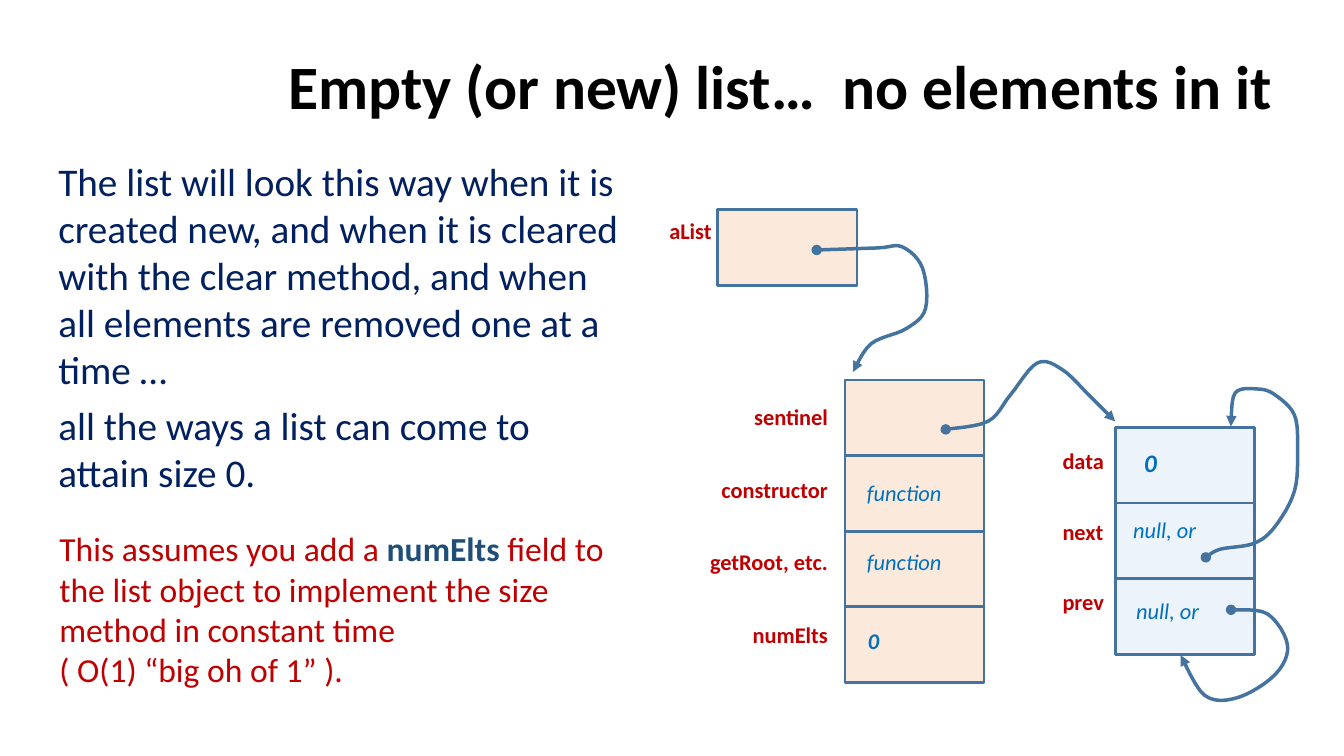
import dataclasses

import pptx
import pptx.dml.color
import pptx.enum.shapes
import pptx.enum.text
import pptx.oxml.ns
import pptx.util
from lxml import etree
from pptx.util import Inches

COLORS = {
    "title": "000000", "body": "002060", "label": "C00000", "value": "0070C0",
    "field": "1F4E79", "line": "43739E", "list": "F4B183", "node": "BDD7EE",
}
LEFT = pptx.enum.text.PP_ALIGN.LEFT
RIGHT = pptx.enum.text.PP_ALIGN.RIGHT
CELL_WIDTH, CELL_HEIGHT = 1.38, 0.75
TEXT_HEIGHT = 0.54
CURVE_STEPS = 6


@dataclasses.dataclass
class Value:
    """Text in a cell; left and top are measured from the corner of the cell."""
    text: str
    left: float
    top: float
    size: int = 16
    bold: bool = False


@dataclasses.dataclass
class Record:
    """A stack of cells, with one (name, value) pair for each cell."""
    left: float
    top: float
    color: str
    fields: list
    label_left: float
    label_top: float
    label_width: float
    label_step: float = 0
    label_align: int = LEFT


RECORDS = [
    Record(7.12, 2.08, "list", [("aList", None)],
           label_left=6.54, label_top=2.11, label_width=0.67),
    Record(8.38, 3.77, "list",
           [("sentinel", None),
            ("constructor", Value("function", 0.12, 0.18)),
            ("getRoot, etc.", Value("function", 0.12, 0.12)),
            ("numElts", Value("0", 0.13, 0.15, bold=True))],
           label_left=6.78, label_top=3.95, label_width=1.53, label_step=0.72,
           label_align=RIGHT),
    Record(11.06, 4.24, "node",
           [("data", Value("0", 0.19, 0.15, size=18, bold=True)),
            ("next", Value("null, or", 0.08, 0.08)),
            ("prev", Value("null, or", 0.11, 0.13))],
           label_left=10.44, label_top=4.39, label_width=1.24, label_step=0.7),
]

# Bends of each pointer, from its dot to its arrowhead; a spline joins them
POINTERS = {
    "aList to list": [(8.1, 2.48), (8.7, 2.46), (8.95, 2.45), (9.15, 2.66),
                      (9.18, 3.06), (8.99, 3.26), (8.64, 3.41), (8.46, 3.69)],
    "sentinel to node": [(9.38, 4.26), (9.8, 4.18), (10.02, 3.92), (10.29, 3.6),
                         (10.54, 3.67), (10.81, 3.93), (11.06, 4.18)],
    "next to node": [(11.96, 5.53), (12.1, 5.45), (12.44, 5.39), (12.65, 5.22),
                     (12.84, 4.87), (12.87, 4.46), (12.84, 4.12), (12.65, 3.92),
                     (12.48, 3.86), (12.25, 3.9), (12.21, 4.23)],
    "prev to node": [(12.21, 6.05), (12.57, 6.09), (12.77, 6.4), (12.65, 6.69),
                     (12.28, 6.92), (11.95, 6.9), (11.71, 6.5)],
}


def rgb(name):
    return pptx.dml.color.RGBColor.from_string(COLORS[name])


def add_element(parent, tag, **attributes):
    return etree.SubElement(parent, pptx.oxml.ns.qn(tag), **attributes)


def add_text(slide, paragraphs, left, top, width, height=TEXT_HEIGHT, *, size=16,
             color="label", bold=False, italic=False, align=LEFT, space_after=0):
    """Each paragraph is a list of (text, color, bold) runs or a plain string."""
    box = slide.shapes.add_textbox(*map(Inches, (left, top, width, height)))
    frame = box.text_frame
    frame.word_wrap = True
    for index, content in enumerate(paragraphs):
        paragraph = frame.add_paragraph() if index else frame.paragraphs[0]
        paragraph.alignment = align
        paragraph.space_after = pptx.util.Pt(space_after)
        runs = [(content, color, bold)] if isinstance(content, str) else content
        for text, run_color, run_bold in runs:
            run = paragraph.add_run()
            run.text = text
            run.font.name = "Calibri"
            run.font.size = pptx.util.Pt(size)
            run.font.bold = run_bold
            run.font.italic = italic
            run.font.color.rgb = rgb(run_color)


def style_line(shape, width):
    shape.shadow.inherit = False
    shape.line.color.rgb = rgb("line")
    shape.line.width = pptx.util.Pt(width)


def add_cell(slide, left, top, color):
    shape = slide.shapes.add_shape(
        pptx.enum.shapes.MSO_SHAPE.RECTANGLE,
        *map(Inches, (left, top, CELL_WIDTH, CELL_HEIGHT)))
    shape.fill.solid()
    shape.fill.fore_color.rgb = rgb(color)
    fill_color = shape.fill._xPr.find(".//" + pptx.oxml.ns.qn("a:srgbClr"))
    add_element(fill_color, "a:alpha", val="28000")
    style_line(shape, 2)


def add_record(slide, record):
    """Draw each cell of a record with its field name and value."""
    for row, (name, value) in enumerate(record.fields):
        cell_top = record.top + row * CELL_HEIGHT
        add_cell(slide, record.left, cell_top, record.color)
        add_text(slide, [name], record.label_left,
                 record.label_top + row * record.label_step, record.label_width,
                 bold=True, align=record.label_align)
        if value:
            add_text(slide, [value.text], record.left + value.left,
                     cell_top + value.top, 1.05, size=value.size, color="value",
                     bold=value.bold, italic=True)


def smooth_curve(bends):
    """Return points of a Catmull-Rom spline that passes through all bends."""
    padded = [bends[0], *bends, bends[-1]]
    points = [bends[0]]
    for before, start, end, after in zip(padded, padded[1:], padded[2:], padded[3:]):
        for step in range(1, CURVE_STEPS + 1):
            t = step / CURVE_STEPS
            points.append(tuple(
                (2 * b + (c - a) * t + (2 * a - 5 * b + 4 * c - d) * t ** 2
                 + (3 * b - a - 3 * c + d) * t ** 3) / 2
                for a, b, c, d in zip(before, start, end, after)))
    return points


def add_pointer(slide, bends):
    start, *others = [(Inches(x), Inches(y)) for x, y in smooth_curve(bends)]
    builder = slide.shapes.build_freeform(*start)
    builder.add_line_segments(others, close=False)
    shape = builder.convert_to_shape()
    shape.fill.background()
    style_line(shape, 2.5)
    outline = shape.line._get_or_add_ln()
    add_element(outline, "a:round")
    add_element(outline, "a:headEnd", type="oval")
    add_element(outline, "a:tailEnd", type="triangle")


def main():
    presentation = pptx.Presentation()
    presentation.slide_width = Inches(13.33)
    presentation.slide_height = Inches(7.5)
    slide = presentation.slides.add_slide(presentation.slide_layouts[6])

    # Title and explanation
    add_text(slide, ["Empty (or new) list…  no elements in it"], 2.47, 0.43, 10.26, 0.84,
             size=44, color="title", bold=True, align=RIGHT)
    add_text(slide, [
        "The list will look this way when it is created new, and when it is cleared "
        "with the clear method, and when all elements are removed one at a time …",
        "all the ways a list can come to attain size 0.",
    ], 0.48, 1.51, 5.85, 3.48, size=28, color="body", space_after=6)
    add_text(slide, [
        [("This assumes you add a ", "label", False), ("numElts", "field", True),
         (" field to the list object to implement the size method in constant time",
          "label", False)],
        "( O(1) “big oh of 1” ).",
    ], 0.49, 5.19, 5.85, 1.72, size=24)

    # Diagram: memory records, then the pointers over them
    for record in RECORDS:
        add_record(slide, record)
    for bends in POINTERS.values():
        add_pointer(slide, bends)

    presentation.save("out.pptx")


if __name__ == "__main__":
    main()
